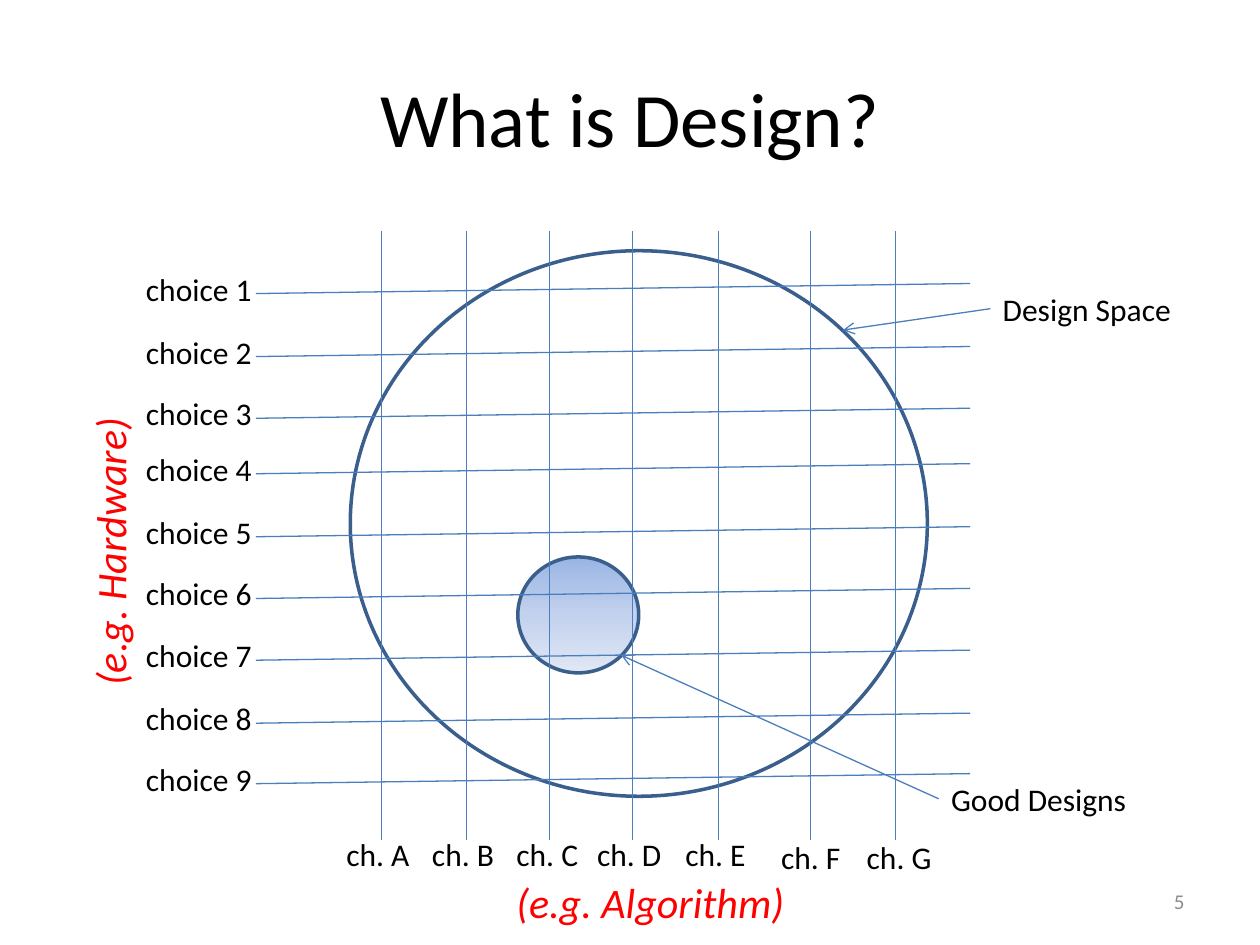
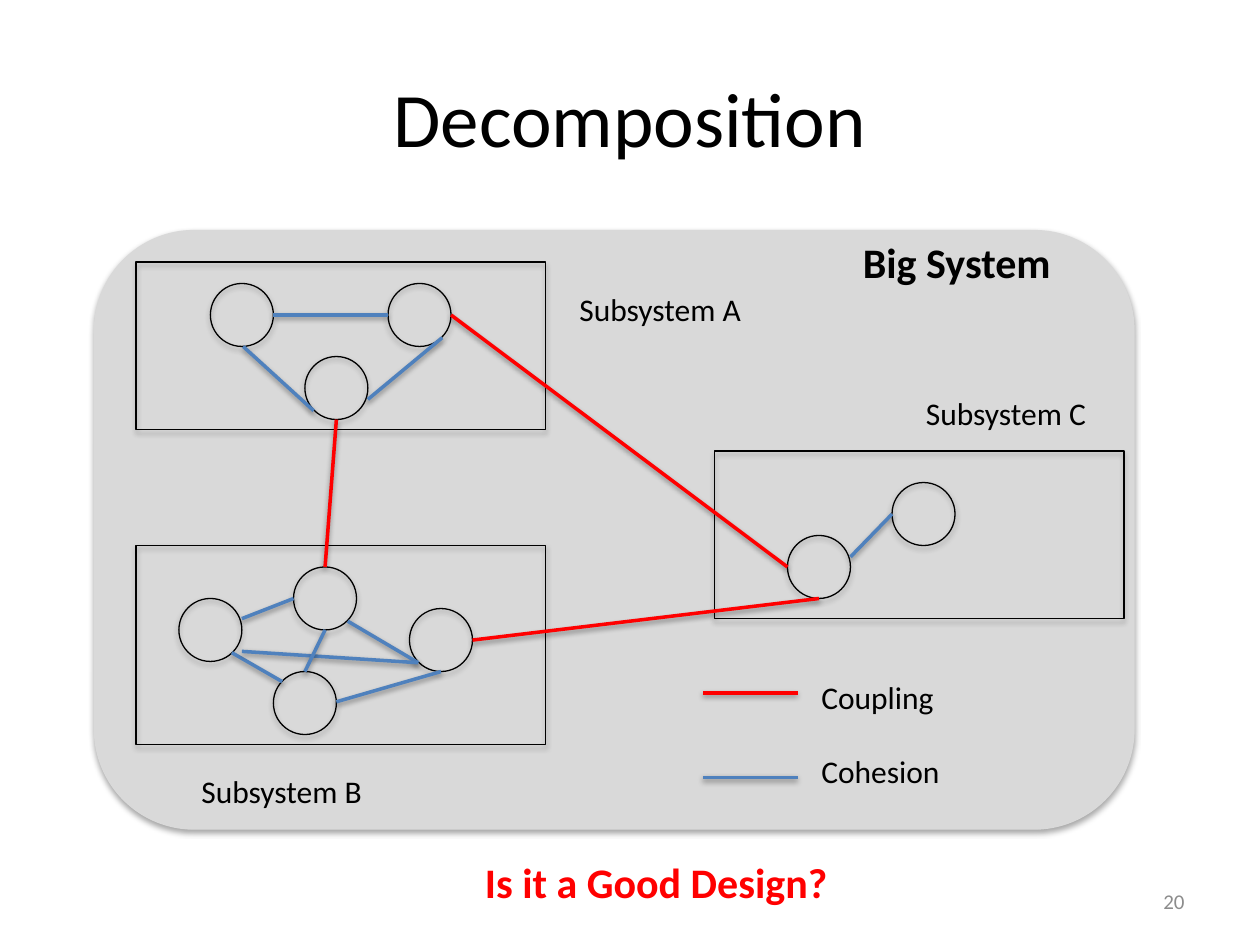
from copy import deepcopy

from lxml import etree
from pptx import Presentation
from pptx.dml.color import RGBColor
from pptx.enum.shapes import MSO_CONNECTOR, MSO_SHAPE
from pptx.enum.text import MSO_ANCHOR, MSO_AUTO_SIZE, PP_ALIGN
from pptx.oxml.ns import qn
from pptx.util import Inches, Pt

STRAIGHT = MSO_CONNECTOR.STRAIGHT
ELLIPSE, RECT, ROUND_RECT = MSO_SHAPE.OVAL, MSO_SHAPE.RECTANGLE, MSO_SHAPE.ROUNDED_RECTANGLE
LEFT, CENTER, RIGHT = PP_ALIGN.LEFT, PP_ALIGN.CENTER, PP_ALIGN.RIGHT
TOP, MIDDLE = MSO_ANCHOR.TOP, MSO_ANCHOR.MIDDLE

FONT = "Calibri"
BLACK, RED, GREY, PANEL = "000000", "FF0000", "8C8C8C", "D9D9D9"
GRID_BLUE, OUTLINE_BLUE, COHESION_BLUE = "4B7EBC", "3A5F8C", "4F81BD"
GOOD_DESIGN_STOPS = [(0, "9AB5E4"), (0.5, "C2D1ED"), (1, "E1E8F5")]

CHOICE_YS = [2.33, 2.83, 3.32, 3.76, 4.26, 4.75, 5.24, 5.74, 6.22]
# letter, line x, label left, label top
COLUMNS = [
    ("A", 3.03, 2.65, 6.58), ("B", 3.7, 3.33, 6.58), ("C", 4.36, 4, 6.58),
    ("D", 5.02, 4.64, 6.58), ("E", 5.7, 5.34, 6.58), ("F", 6.43, 6.1, 6.6),
    ("G", 7.11, 6.78, 6.6),
]
COLUMN_LABEL_WIDTH = 0.75

SUBSYSTEMS = [(1.08, 2.08, 3.25, 1.33), (5.67, 3.58, 3.25, 1.33), (1.08, 4.33, 3.25, 1.58)]
NODES = [
    (1.67, 2.25), (3.08, 2.25), (2.42, 2.83),
    (3.25, 4.83), (2.33, 4.5), (1.42, 4.75), (2.17, 5.33),
    (7.08, 3.83), (6.25, 4.25),
]
NODE_SIZE = 0.5
COHESION_LINKS = [
    ((2.17, 2.5), (3.08, 2.5)), ((2.92, 3.17), (3.51, 2.68)), ((2.49, 3.26), (1.93, 2.75)),
    ((2.76, 4.93), (3.32, 5.26)), ((1.84, 5.18), (2.24, 5.41)), ((6.75, 4.42), (7.08, 4.08)),
    ((1.92, 4.91), (2.33, 4.75)), ((2.67, 5.57), (3.5, 5.33)), ((1.92, 5.17), (3.32, 5.26)),
    ((2.42, 5.33), (2.58, 5)),
]
COUPLING_LINKS = [
    ((3.58, 2.5), (6.25, 4.5)), ((2.67, 3.33), (2.58, 4.5)), ((3.75, 5.08), (6.5, 4.75)),
]
# label, colour, line y, label top, label width
LEGEND = [("Coupling", RED, 5.5, 5.33, 1.1), ("Cohesion", COHESION_BLUE, 6.17, 5.92, 1.15)]
SUBSYSTEM_LABELS = [("A", 4.5, 2.25, 1.57), ("B", 1.5, 6.08, 1.51), ("C", 7.25, 3.08, 1.51)]


def rgb(value):
    return RGBColor.from_string(value)


def add_text(slide, text, left, top, width, height=0.4, *, size=18, color=BLACK, bold=False,
             italic=False, align=LEFT, anchor=TOP, wrap=False, grow=True, rotation=0):
    box = slide.shapes.add_textbox(Inches(left), Inches(top), Inches(width), Inches(height))
    box.rotation = rotation
    frame = box.text_frame
    frame.word_wrap = wrap
    frame.auto_size = MSO_AUTO_SIZE.SHAPE_TO_FIT_TEXT if grow else MSO_AUTO_SIZE.NONE
    frame.vertical_anchor = anchor
    paragraph = frame.paragraphs[0]
    paragraph.alignment = align
    run = paragraph.add_run()
    run.text = text
    font = run.font
    font.name, font.size, font.bold, font.italic = FONT, Pt(size), bold, italic
    font.color.rgb = rgb(color)


def cast_shadow(effects, opacity, distance):
    """Fill an effect list with a soft black shadow falling straight down."""
    shadow = etree.SubElement(effects, qn("a:outerShdw"), blurRad=str(Pt(3.1)),
                              dist=str(Pt(distance)), dir="5400000", rotWithShape="0")
    black = etree.SubElement(shadow, qn("a:srgbClr"), val=BLACK)
    etree.SubElement(black, qn("a:alpha"), val=str(opacity * 1000))


def add_outline(slide, kind, left, top, width, height, *, line=BLACK, weight=0.75,
                fill=None, shadow=False):
    shape = slide.shapes.add_shape(kind, Inches(left), Inches(top), Inches(width), Inches(height))
    if fill:
        shape.fill.solid()
        shape.fill.fore_color.rgb = rgb(fill)
    else:
        shape.fill.background()
    shape.line.color.rgb = rgb(line)
    shape.line.width = Pt(weight)
    shape.shadow.inherit = False
    if shadow:
        cast_shadow(shape._element.spPr.find(qn("a:effectLst")), 35, 1.8)
    return shape


def fill_gradient(shape, stops):
    """Fill from top to bottom with three colour stops."""
    shape.fill.gradient()
    shape.fill.gradient_angle = 270
    stop_list = shape._element.spPr.find(".//" + qn("a:gsLst"))
    stop_list.insert(1, deepcopy(stop_list[0]))
    for stop, (position, color) in zip(shape.fill.gradient_stops, stops):
        stop.position = position
        stop.color.rgb = rgb(color)


def add_line(slide, start, end, *, color=GRID_BLUE, weight=0.75, arrow=False, shadow=False):
    line = slide.shapes.add_connector(STRAIGHT, *map(Inches, (*start, *end)))
    line.line.color.rgb = rgb(color)
    line.line.width = Pt(weight)
    properties = line._element.spPr
    if arrow:
        etree.SubElement(properties.find(qn("a:ln")), qn("a:tailEnd"), type="arrow")
    effects = etree.SubElement(properties, qn("a:effectLst"))
    if shadow:
        cast_shadow(effects, 38, 1.6)


def add_link(slide, start, end, color):
    add_line(slide, start, end, color=color, weight=2, shadow=True)


def add_title_and_number(slide, title, number):
    add_text(slide, title, 0.5, 0.3, 9, 1.25, size=44, align=CENTER, anchor=MIDDLE,
             wrap=True, grow=False)
    add_text(slide, number, 7.17, 6.95, 2.33, size=12, color=GREY, align=RIGHT, anchor=MIDDLE,
             wrap=True, grow=False)


def build_design_space(slide):
    good_designs = add_outline(slide, ELLIPSE, 4.11, 4.42, 0.96, 0.92,
                               line=OUTLINE_BLUE, weight=2)
    fill_gradient(good_designs, GOOD_DESIGN_STOPS)
    add_title_and_number(slide, "What is Design?", "5")
    add_outline(slide, ELLIPSE, 2.78, 1.99, 4.58, 4.33, line=OUTLINE_BLUE, weight=2)

    add_text(slide, "Design Space", 7.86, 2.25, 1.55)
    add_line(slide, (7.86, 2.45), (6.69, 2.62), arrow=True)
    add_text(slide, "Good Designs", 7.45, 6.14, 1.61)
    add_line(slide, (7.45, 6.34), (4.93, 5.2), arrow=True)

    for number, y in enumerate(CHOICE_YS, 1):
        add_line(slide, (2.03, y), (7.7, y - 0.08))
        add_text(slide, f"choice {number}", 1.06, y - 0.24, 1.05)
    for letter, x, label_left, label_top in COLUMNS:
        add_line(slide, (x, 1.83), (x, 6.67))
        add_text(slide, f"ch. {letter}", label_left, label_top, COLUMN_LABEL_WIDTH)

    axis_style = dict(size=24, color=RED, italic=True, wrap=True)
    add_text(slide, "(e.g. Algorithm)", 4, 6.91, 2.58, 0.5, **axis_style)
    add_text(slide, "(e.g. Hardware)", -0.42, 4, 2.58, 0.5, rotation=270, **axis_style)


def build_decomposition(slide):
    add_outline(slide, ROUND_RECT, 0.75, 1.83, 8.25, 4.75, line=PANEL, fill=PANEL, shadow=True)
    add_title_and_number(slide, "Decomposition", "20")
    for bounds in SUBSYSTEMS:
        add_outline(slide, RECT, *bounds, shadow=True)
    for left, top in NODES:
        add_outline(slide, ELLIPSE, left, top, NODE_SIZE, NODE_SIZE, shadow=True)
    for links, color in ((COHESION_LINKS, COHESION_BLUE), (COUPLING_LINKS, RED)):
        for start, end in links:
            add_link(slide, start, end, color)

    for label, color, y, label_top, width in LEGEND:
        add_link(slide, (5.58, y), (6.33, y), color)
        add_text(slide, label, 6.42, label_top, width)
    for letter, left, top, width in SUBSYSTEM_LABELS:
        add_text(slide, f"Subsystem {letter}", left, top, width)
    add_text(slide, "Big System", 6.75, 1.83, 1.72, 0.5, size=24, bold=True)
    add_text(slide, "Is it a Good Design?", 3.75, 6.75, 2.95, 0.5, size=24, color=RED, bold=True)


def main():
    deck = Presentation()
    deck.slide_width, deck.slide_height = Inches(10), Inches(7.5)
    blank = deck.slide_layouts[6]
    for build in (build_design_space, build_decomposition):
        build(deck.slides.add_slide(blank))
    deck.save("out.pptx")


if __name__ == "__main__":
    main()
